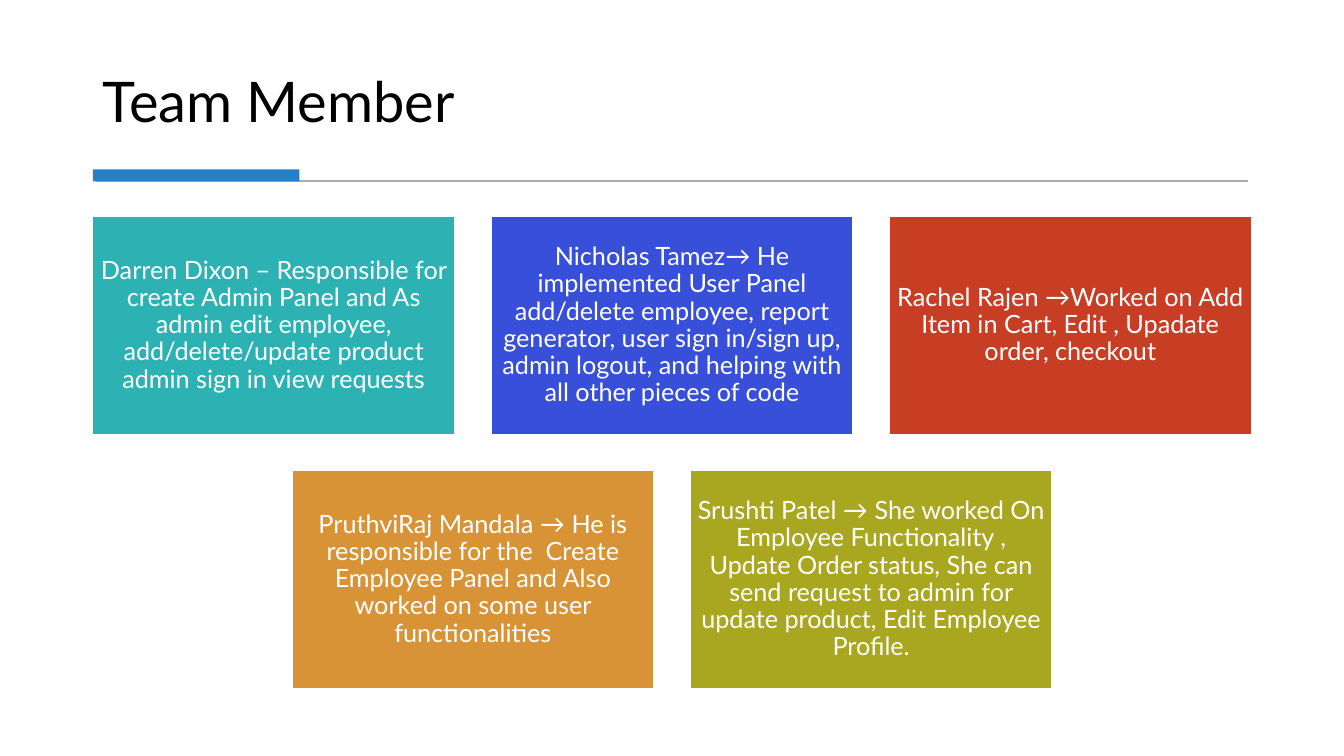
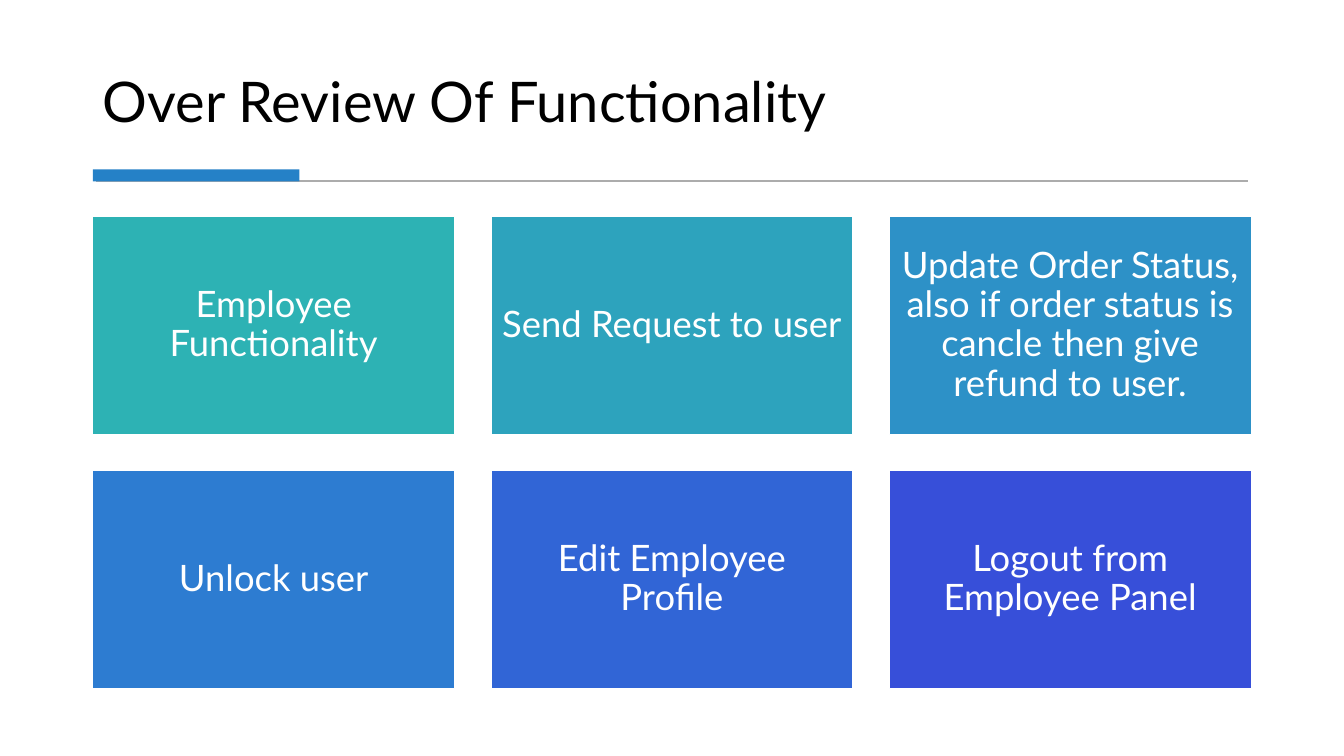
from pptx import Presentation
from pptx.dml.color import RGBColor
from pptx.enum.shapes import MSO_CONNECTOR, MSO_SHAPE
from pptx.enum.text import MSO_ANCHOR, MSO_AUTO_SIZE, PP_ALIGN
from pptx.oxml.ns import qn
from pptx.util import Inches, Pt

RECTANGLE = MSO_SHAPE.RECTANGLE
STRAIGHT = MSO_CONNECTOR.STRAIGHT
LEFT, CENTER = PP_ALIGN.LEFT, PP_ALIGN.CENTER
MIDDLE, BOTTOM = MSO_ANCHOR.MIDDLE, MSO_ANCHOR.BOTTOM
NO_FIT = MSO_AUTO_SIZE.NONE
TITLE_ONLY = 5

FONT = "Lato"
COLORS = {
    "black": "000000", "white": "FFFFFF", "rule": "ACACAC", "accent": "2581C7",
    "teal": "2DB2B4", "cyan": "2DA3BD", "sky": "2D91C7", "azure": "2D7CD1",
    "royal": "3165D6", "indigo": "374FD9", "red": "C73E25",
    "orange": "D99337", "olive": "A9A71F",
}

# Card grid
MARGIN, CONTENT_WIDTH = 0.92, 11.49
CARD_WIDTH, CARD_HEIGHT = 3.59, 2.16
CARD_TOP, COLUMN_STEP, ROW_STEP = 2.15, 3.95, 2.52
COLUMNS = 3


def color(name):
    return RGBColor.from_string(COLORS[name])


def write_text(frame, text, size=18, fill="black", align=LEFT, anchor=MIDDLE,
               inset_x=0.1, inset_y=0.05):
    frame.word_wrap = True
    frame.auto_size = NO_FIT
    frame.vertical_anchor = anchor
    frame.margin_left = frame.margin_right = Inches(inset_x)
    frame.margin_top = frame.margin_bottom = Inches(inset_y)
    para = frame.paragraphs[0]
    para.alignment = align
    para.line_spacing = 0.9
    span = para.add_run()
    span.text = text
    span.font.name = FONT
    span.font.size = Pt(size)
    span.font.color.rgb = color(fill)


class SlideBuilder:
    def __init__(self, deck):
        self.deck = deck
        self.page = None

    def new_page(self, title):
        self.page = self.deck.slides.add_slide(self.deck.slide_layouts[TITLE_ONLY])
        self.title(title)
        self.rule(0.95, 1.8, 11.43)
        self.box(MARGIN, 1.68, 2.05, 0.12, "accent")

    def title(self, text):
        box = self.page.shapes.title
        box.left, box.top = Inches(MARGIN), Inches(0.28)
        box.width, box.height = Inches(CONTENT_WIDTH), Inches(1.11)
        write_text(box.text_frame, text, size=40, anchor=BOTTOM)

    def rule(self, left, top, width):
        line = self.page.shapes.add_connector(
            STRAIGHT, Inches(left), Inches(top), Inches(left + width), Inches(top))
        line.line.color.rgb = color("rule")
        line.line.width = Pt(1.5)
        properties = line._element.spPr
        properties.append(properties.makeelement(qn("a:effectLst"), {}))

    def box(self, left, top, width, height, fill, outline=None):
        box = self.page.shapes.add_shape(
            RECTANGLE, Inches(left), Inches(top), Inches(width), Inches(height))
        box.shadow.inherit = False
        box.fill.solid()
        box.fill.fore_color.rgb = color(fill)
        if outline:
            box.line.color.rgb = color(outline)
            box.line.width = Pt(1)
        else:
            box.line.fill.background()
        return box

    def cards(self, cards, size, inset):
        """Fill rows of three cards; a shorter last row is centred."""
        for index, (text, fill) in enumerate(cards):
            row, column = divmod(index, COLUMNS)
            in_row = min(COLUMNS, len(cards) - row * COLUMNS)
            left = MARGIN + (column + (COLUMNS - in_row) / 2) * COLUMN_STEP
            card = self.box(left, CARD_TOP + row * ROW_STEP,
                            CARD_WIDTH, CARD_HEIGHT, fill, outline="white")
            write_text(card.text_frame, text, size=size, fill="white",
                       align=CENTER, inset_x=inset, inset_y=inset)


deck = Presentation()
deck.slide_width, deck.slide_height = Inches(13.33), Inches(7.5)
builder = SlideBuilder(deck)

# Slide 1: team members
builder.new_page("Team Member")
builder.cards([
    ("Darren Dixon – Responsible for create Admin Panel and As admin edit "
     "employee, add/delete/update product admin sign in view requests", "teal"),
    ("Nicholas Tamez→ He implemented User Panel add/delete employee, report "
     "generator, user sign in/sign up, admin logout, and helping with all other "
     "pieces of code", "indigo"),
    ("Rachel Rajen →Worked on Add Item in Cart, Edit , Upadate order, checkout",
     "red"),
    ("PruthviRaj Mandala → He is responsible for the  Create Employee Panel and "
     "Also worked on some user functionalities", "orange"),
    ("Srushti Patel → She worked On Employee Functionality , Update Order status, "
     "She can send request to admin for update product, Edit Employee Profile.",
     "olive"),
], size=18, inset=0.07)

# Slide 2: employee functions
builder.new_page("Over Review Of Functionality")
builder.cards([
    ("Employee Functionality", "teal"),
    ("Send Request to user", "cyan"),
    ("Update Order Status, also if order status is cancle then give refund to user.",
     "sky"),
    ("Unlock user", "azure"),
    ("Edit Employee Profile", "royal"),
    ("Logout from Employee Panel", "indigo"),
], size=26, inset=0.11)

deck.save("out.pptx")
